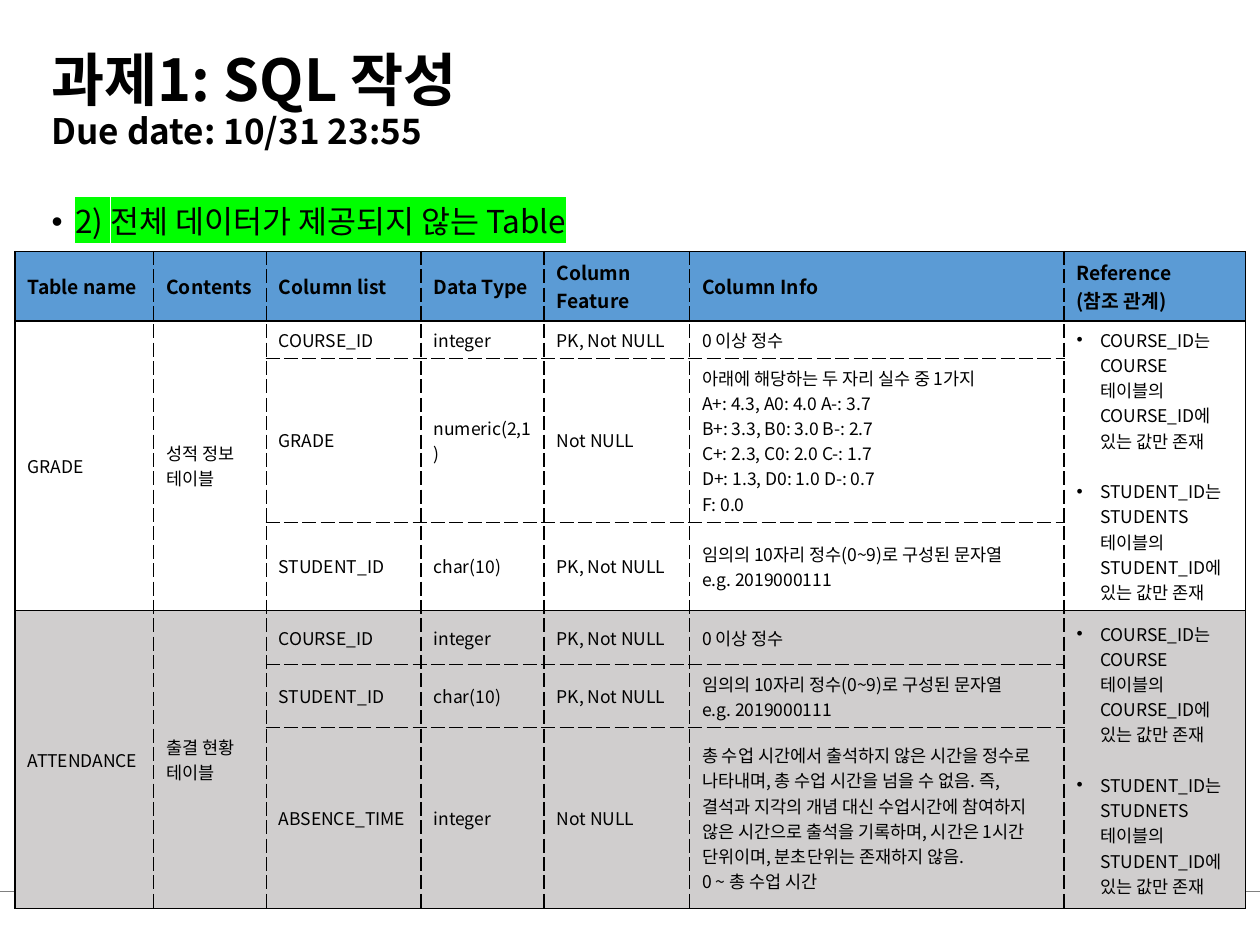
import pptx
import pptx.dml.color
import pptx.enum.shapes
import pptx.enum.text
import pptx.oxml.ns
import pptx.util
from lxml import etree

Cm = pptx.util.Cm
Pt = pptx.util.Pt
RGBColor = pptx.dml.color.RGBColor
MIDDLE = pptx.enum.text.MSO_ANCHOR.MIDDLE

BLACK = RGBColor(0x00, 0x00, 0x00)
GRAY = RGBColor(0x80, 0x80, 0x80)
BLUE = RGBColor(0x5B, 0x9B, 0xD5)
SILVER = RGBColor(0xD0, 0xCE, 0xCE)
GREEN = RGBColor(0x00, 0xFF, 0x00)

COL_WIDTHS = [2.8, 2.27, 3.12, 2.48, 2.93, 7.55, 3.66]
ROW_HEIGHTS = [1.4, 0.76, 3.3, 1.78, 1.09, 1.27, 3.65]
MERGED_COLS = (0, 1, 6)
GROUP_STARTS = (1, 4)
GROUP_SIZE = 3

HEADER = ["Table name", "Contents", "Column list", "Data Type", "Column Feature",
          "Column Info", "Reference\n(참조 관계)"]
STUDENT_INFO = "임의의 10자리 정수(0~9)로 구성된 문자열\ne.g. 2019000111"
GRADE_INFO = """아래에 해당하는 두 자리 실수 중 1가지
A+: 4.3, A0: 4.0 A-: 3.7
B+: 3.3, B0: 3.0 B-: 2.7
C+: 2.3, C0: 2.0 C-: 1.7
D+: 1.3, D0: 1.0 D-: 0.7
F: 0.0"""
ABSENCE_INFO = (
    "총 수업 시간에서 출석하지 않은 시간을 정수로 나타내며, 총 수업 시간을 넘을 수 없음. "
    "즉, 결석과 지각의 개념 대신 수업시간에 참여하지 않은 시간으로 출석을 기록하며, "
    "시간은 1시간 단위이며, 분초단위는 존재하지 않음.\n0 ~ 총 수업 시간")
REFERENCE = ("COURSE_ID는 COURSE 테이블의 COURSE_ID에 있는 값만 존재\n"
             "STUDENT_ID는 {} 테이블의 STUDENT_ID에 있는 값만 존재")
COURSE = ["COURSE_ID", "integer", "PK, Not NULL", "0 이상 정수"]
STUDENT = ["STUDENT_ID", "char(10)", "PK, Not NULL", STUDENT_INFO]
GROUPS = [
    ("GRADE", "성적 정보 테이블", REFERENCE.format("STUDENTS"),
     [COURSE, ["GRADE", "numeric(2,1)", "Not NULL", GRADE_INFO], STUDENT]),
    ("ATTENDANCE", "출결 현황 테이블", REFERENCE.format("STUDNETS"),
     [COURSE, STUDENT, ["ABSENCE_TIME", "integer", "Not NULL", ABSENCE_INFO]]),
]


def sub(parent, tag, **attrs):
    return etree.SubElement(parent, pptx.oxml.ns.qn(tag), attrs)


class Deck:
    """Holds the text style and the current slide, and adds elements to it."""

    font = "Noto Sans CJK KR"

    def __init__(self, prs):
        self.s = prs.slides.add_slide(prs.slide_layouts[6])

    def run(self, p, text, highlight=None, **fmt):
        r = p.add_run()
        r.text = text
        for name, value in fmt.items():
            setattr(r.font, name, value)
        r.font.color.rgb = BLACK
        rPr = r.font._element
        if highlight is not None:
            sub(sub(rPr, "a:highlight"), "a:srgbClr", val=str(highlight))
        r.font.name = self.font
        sub(rPr, "a:ea", typeface=self.font)

    def bullet(self, p):
        pPr = p._p.get_or_add_pPr()
        pPr.set("marL", str(Cm(0.48)))
        pPr.set("indent", str(-Cm(0.48)))
        sub(pPr, "a:buFont", typeface="Arial")
        sub(pPr, "a:buChar", char="•")

    def line(self, x1, y1, x2, y2, color, width):
        straight = pptx.enum.shapes.MSO_CONNECTOR.STRAIGHT
        sp = self.s.shapes.add_connector(straight, Cm(x1), Cm(y1), Cm(x2), Cm(y2))
        sp.line.color.rgb = color
        sp.line.width = Pt(width)
        sub(sp._element.spPr, "a:effectLst")

    def text(self, x, y, w, h, runs, bullet=False, para=None, **frame):
        sp = self.s.shapes.add_textbox(Cm(x), Cm(y), Cm(w), Cm(h))
        tf = sp.text_frame
        for name, value in {"word_wrap": True, **frame}.items():
            setattr(tf, name, value)
        p = tf.paragraphs[0]
        for name, value in {"line_spacing": 0.9, **(para or {})}.items():
            setattr(p, name, value)
        if bullet:
            self.bullet(p)
        for i, (text, fmt) in enumerate(runs):
            if i:
                p.add_line_break()
            self.run(p, text, **fmt)

    def cell(self, cell, text, bullet=False, **fmt):
        cell.vertical_anchor = MIDDLE
        for i, part in enumerate(text.split("\n")):
            tf = cell.text_frame
            p = tf.add_paragraph() if i else tf.paragraphs[0]
            if bullet:
                p.space_before = Pt(14.5 if i else 0)
                self.bullet(p)
            self.run(p, part, **fmt)

    def borders(self, cell, **dashes):
        tcPr = cell._tc.get_or_add_tcPr()
        for side, dash in dashes.items():
            ln = sub(tcPr, "a:ln" + side, w=str(Pt(1)))
            sub(sub(ln, "a:solidFill"), "a:srgbClr", val=str(BLACK))
            sub(ln, "a:prstDash", val=dash)

    def table(self, x, y):
        rows, cols = len(ROW_HEIGHTS), len(COL_WIDTHS)
        sp = self.s.shapes.add_table(rows, cols, Cm(x), Cm(y),
                                     Cm(sum(COL_WIDTHS)), Cm(sum(ROW_HEIGHTS)))
        tbl = sp.table
        tbl.first_row = tbl.horz_banding = False
        for col, width in zip(tbl.columns, COL_WIDTHS):
            col.width = Cm(width)
        for row, height in zip(tbl.rows, ROW_HEIGHTS):
            row.height = Cm(height)

        solid_rows = (0, *GROUP_STARTS, rows)
        for r in range(rows):
            for c in range(cols):
                def horizontal(edge):
                    solid = edge in solid_rows or c in MERGED_COLS
                    return "solid" if solid else "sysDash"

                cell = tbl.cell(r, c)
                self.borders(cell, L="sysDash" if c else "solid",
                             R="sysDash" if c < cols - 1 else "solid",
                             T=horizontal(r), B=horizontal(r + 1))
                if r == 0 or r >= GROUP_STARTS[1]:
                    cell.fill.solid()
                    cell.fill.fore_color.rgb = SILVER if r else BLUE
                else:
                    cell.fill.background()

        for c, title in enumerate(HEADER):
            self.cell(tbl.cell(0, c), title, size=Pt(11), bold=True)
        body = {"size": Pt(10), "bold": False}
        for top, (*merged, details) in zip(GROUP_STARTS, GROUPS):
            for c, text in zip(MERGED_COLS, merged):
                tbl.cell(top, c).merge(tbl.cell(top + GROUP_SIZE - 1, c))
                self.cell(tbl.cell(top, c), text, bullet=c == MERGED_COLS[-1], **body)
            for r, values in enumerate(details, top):
                for c, text in enumerate(values, 2):
                    self.cell(tbl.cell(r, c), text, **body)


def main():
    prs = pptx.Presentation()
    prs.slide_width, prs.slide_height = Cm(25.4), Cm(19.05)
    deck = Deck(prs)
    deck.line(0, 17.98, 25.4, 17.98, GRAY, 0.5)
    deck.text(0.79, 0.69, 23.83, 2.72,
              [("과제1: SQL 작성", {"size": Pt(33), "bold": True}),
               ("Due date: 10/31 23:55", {"size": Pt(20), "bold": True})],
              vertical_anchor=MIDDLE)
    deck.text(0.79, 4.04, 23.83, 13.56,
              [("2) 전체 데이터가 제공되지 않는 Table", {"size": Pt(18), "highlight": GREEN})],
              bullet=True, para={"space_before": Pt(7.5)})
    deck.table(0.3, 5.07)
    prs.save("out.pptx")


if __name__ == "__main__":
    main()
